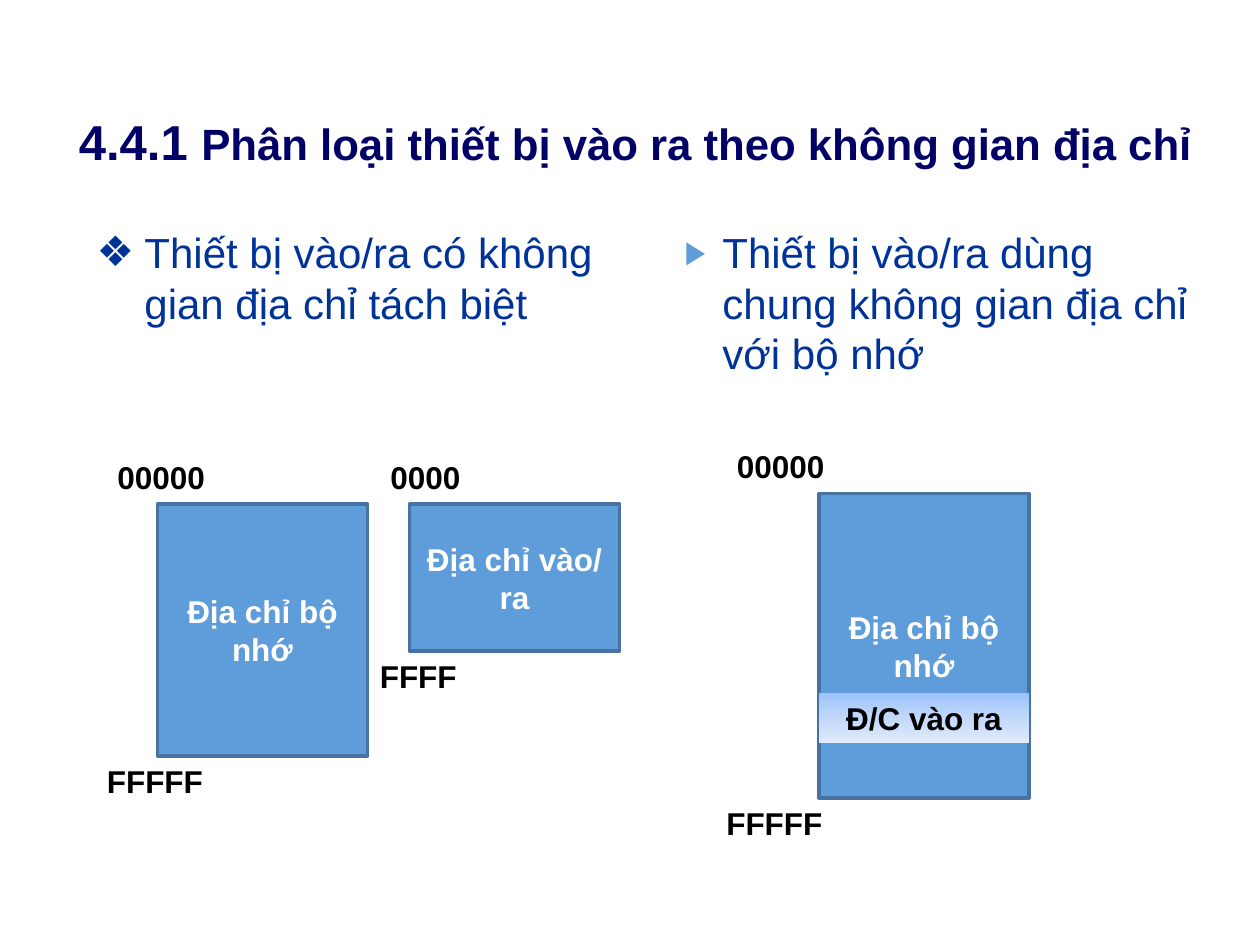
import copy
import pptx
import pptx.util
import pptx.dml.color
import pptx.enum.shapes
import pptx.enum.text
import pptx.oxml.ns
from lxml import etree

THEME = {
    "font": "Arial", "title": "000066", "body": "003399", "box": "5E9CDA",
    "border": "4673A1", "light": "FFFFFF", "dark": "000000",
    "band": ("9BC2F9", "C2D8FA", "E1EBFC"),
    "number_size": 28, "title_size": 25, "body_size": 24, "label_size": 18,
}

# Content; lengths are cells of a grid with 12 cells to the inch
CELL = pptx.util.Inches(1) // 12
COLUMNS, ROWS = 120, 90
LABEL_HEIGHT = 4.8
TITLE = {"area": (3, 10, 115, 6.8),
         "runs": [("4.4.1 ", "number_size"),
                  ("Phân loại thiết bị vào ra theo không gian địa chỉ", "title_size")]}
BODIES = [
    {"text": "Thiết bị vào/ra có không gian địa chỉ tách biệt", "area": (8, 21, 51, 22),
     "bullet": "❖", "bullet_color": "body", "bullet_size": 100, "indent": 0.38, "before": 5},
    {"text": "Thiết bị vào/ra dùng chung không gian địa chỉ với bộ nhớ", "area": (64, 21, 52, 20),
     "bullet": "▶", "bullet_color": "box", "bullet_size": 76, "indent": 0.3, "before": 6},
]
ADDRESS_SPACES = [
    {"text": "Địa chỉ bộ nhớ", "area": (15, 48, 20, 24),
     "first": "00000", "last": "FFFFF", "label_left": 10, "last_width": 13},
    {"text": "Địa chỉ bộ nhớ", "area": (78, 47, 20, 29),
     "first": "00000", "last": "FFFFF", "label_left": 69, "last_width": 13},
    {"text": "Địa chỉ vào/ ra", "area": (39, 48, 20, 14),
     "first": "0000", "last": "FFFF", "label_left": 36, "last_width": 11},
]
SHARED_BAND = {"text": "Đ/C vào ra", "area": (78, 66, 20, LABEL_HEIGHT)}


def color(name):
    return pptx.dml.color.RGBColor.from_string(THEME.get(name, name))


def place(area):
    return [round(cells * CELL) for cells in area]


def move(shape, area):
    for name, value in zip(("left", "top", "width", "height"), place(area)):
        setattr(shape, name, value)


def add_run(paragraph, text, size, color_name, bold):
    run = paragraph.add_run()
    run.text = text
    style = {"name": THEME["font"], "size": pptx.util.Pt(THEME[size]), "bold": bold}
    for name, value in style.items():
        setattr(run.font, name, value)
    run.font.color.rgb = color(color_name)


def write(shape, runs, color_name, bold, alignment="LEFT", anchor="TOP", fit="NONE"):
    frame = shape.text_frame
    style = {"word_wrap": True,
             "auto_size": getattr(pptx.enum.text.MSO_AUTO_SIZE, fit),
             "vertical_anchor": getattr(pptx.enum.text.MSO_ANCHOR, anchor)}
    for name, value in style.items():
        setattr(frame, name, value)
    paragraph = frame.paragraphs[0]
    paragraph.alignment = getattr(pptx.enum.text.PP_ALIGN, alignment)
    for text, size in runs:
        add_run(paragraph, text, size, color_name, bold)
    return paragraph


def add_bullet(paragraph, body):
    paragraph.space_before = pptx.util.Pt(body["before"])
    properties = paragraph._p.get_or_add_pPr()
    indent = pptx.util.Inches(body["indent"])
    properties.set("marL", str(indent))
    properties.set("indent", str(-indent))
    qn = pptx.oxml.ns.qn
    bullet_color = etree.SubElement(properties, qn("a:buClr"))
    etree.SubElement(bullet_color, qn("a:srgbClr")).set("val", THEME[body["bullet_color"]])
    for tag, name, value in (("a:buSzPct", "val", str(body["bullet_size"] * 1000)),
                             ("a:buFont", "typeface", THEME["font"]),
                             ("a:buChar", "char", body["bullet"])):
        etree.SubElement(properties, qn(tag)).set(name, value)


def add_rectangle(slide, area):
    shape = slide.shapes.add_shape(
        pptx.enum.shapes.MSO_SHAPE.RECTANGLE, *place(area))
    shape.shadow.inherit = False
    return shape


def add_label(slide, text, area):
    label = slide.shapes.add_textbox(*place(area))
    write(label, [(text, "label_size")], "dark", True, fit="SHAPE_TO_FIT_TEXT")


def fill_gradient(fill, colors):
    fill.gradient()
    fill.gradient_angle = 270
    first = fill.gradient_stops[0]._gs
    first.addnext(copy.deepcopy(first))
    for index, (stop, value) in enumerate(zip(fill.gradient_stops, colors)):
        stop.position = index / (len(colors) - 1)
        stop.color.rgb = color(value)


def main():
    presentation = pptx.Presentation()
    presentation.slide_width = COLUMNS * CELL
    presentation.slide_height = ROWS * CELL
    slide = presentation.slides.add_slide(presentation.slide_layouts[3])

    # Title and the two list columns
    title, *columns = slide.placeholders
    move(title, TITLE["area"])
    write(title, TITLE["runs"], "title", True, "CENTER", "MIDDLE")
    for column, body in zip(columns, BODIES):
        move(column, body["area"])
        paragraph = write(column, [(body["text"], "body_size")], "body", False)
        add_bullet(paragraph, body)

    # Address space boxes
    for space in ADDRESS_SPACES:
        box = add_rectangle(slide, space["area"])
        box.fill.solid()
        box.fill.fore_color.rgb = color("box")
        box.line.color.rgb = color("border")
        box.line.width = pptx.util.Pt(2)
        write(box, [(space["text"], "label_size")], "light", True, "CENTER", "MIDDLE")

    # Device addresses inside the shared space
    band = add_rectangle(slide, SHARED_BAND["area"])
    fill_gradient(band.fill, THEME["band"])
    band.line.fill.background()
    write(band, [(SHARED_BAND["text"], "label_size")], "dark", True, "CENTER",
          fit="SHAPE_TO_FIT_TEXT")

    # First and last address of each space
    for space in ADDRESS_SPACES:
        left, top, width, height = space["area"]
        add_label(slide, space["first"], (space["label_left"], top - 5, 11, LABEL_HEIGHT))
        add_label(slide, space["last"], (space["label_left"] - 1, top + height,
                                         space["last_width"], LABEL_HEIGHT))

    presentation.save("out.pptx")


if __name__ == "__main__":
    main()
